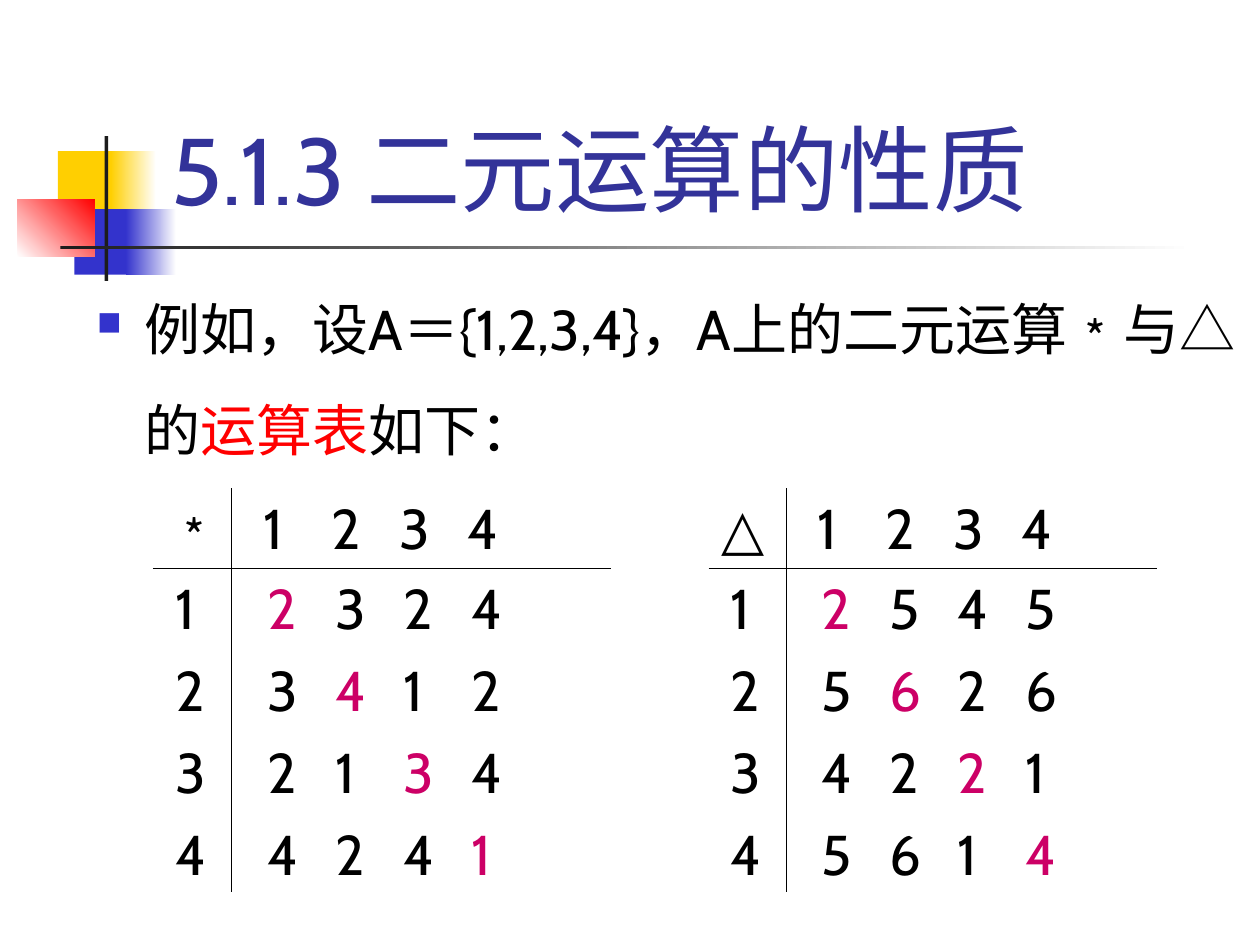
from lxml.etree import SubElement
from pptx import Presentation
from pptx.dml.color import RGBColor
from pptx.enum.shapes import MSO_SHAPE
from pptx.enum.text import MSO_ANCHOR, MSO_AUTO_SIZE, PP_ALIGN
from pptx.oxml import parse_xml
from pptx.oxml.ns import nsdecls, qn
from pptx.util import Inches, Pt

FONT = "Cabin"
BLACK, WHITE, RED, PINK = "000000", "FFFFFF", "FF0000", "CC0066"
YELLOW, BLUE, NAVY, CHARCOAL = "FFCF01", "3333CC", "333399", "1C1C1C"

TITLE = "5.1.3 二元运算的性质"
BODY = [
    ("例如，设A＝{1,2,3,4}，A上的二元运算﹡与△的", BLACK),
    ("运算表", RED),
    ("如下：", BLACK),
]
ELEMENTS = "1234"

# left, top, width, height, colours (two make a gradient), gradient angle
ORNAMENTS = [
    (0.46, 1.20, 0.48, 0.52, [YELLOW], 0),
    (0.88, 1.20, 0.36, 0.52, [YELLOW, WHITE], 0),
    (0.59, 1.66, 0.46, 0.52, [BLUE], 0),
    (1.00, 1.66, 0.40, 0.52, [BLUE, WHITE], 0),
    (0.14, 1.58, 0.61, 0.46, [WHITE, RED], 45),
    (0.83, 1.08, 0.03, 1.15, [CHARCOAL], 0),
    (0.48, 1.95, 9.00, 0.03, [CHARCOAL, WHITE], 0),
]

# operator, left, column widths, rows of results
OPERATION_TABLES = [
    ("﹡", 1.22, (0.62, 3.00), ["2324", "3412", "2134", "4241"]),
    ("△", 5.63, (0.61, 2.94), ["2545", "5626", "4221", "5614"]),
]
TABLE_TOP, ROW_HEIGHTS = 3.88, (0.63, 2.57)
DIGIT_STEP = 0.54


def color(value):
    return RGBColor.from_string(value)


def style(font, size, value):
    font.name, font.size, font.color.rgb = FONT, Pt(size), color(value)


def add_ornament(slide, left, top, width, height, colors, angle):
    shape = slide.shapes.add_shape(
        MSO_SHAPE.RECTANGLE, *map(Inches, (left, top, width, height)))
    shape.shadow.inherit = False
    shape.line.fill.background()
    if len(colors) == 1:
        shape.fill.solid()
        shape.fill.fore_color.rgb = color(colors[0])
        return
    shape.fill.gradient()
    shape.fill.gradient_angle = angle
    for stop, value in zip(shape.fill.gradient_stops, colors):
        stop.color.rgb = color(value)


def add_title(slide):
    title = slide.shapes.title
    title.left, title.top, title.width, title.height = map(
        Inches, (1.26, 0.23, 8.52, 1.6))
    frame = title.text_frame
    frame.text = TITLE
    frame.auto_size = MSO_AUTO_SIZE.NONE
    frame.vertical_anchor = MSO_ANCHOR.BOTTOM
    frame.paragraphs[0].alignment = PP_ALIGN.LEFT
    style(frame.paragraphs[0].font, 54, NAVY)


def add_body(slide):
    frame = slide.shapes.add_textbox(
        *map(Inches, (0.67, 2.02, 9.33, 5.48))).text_frame
    frame.word_wrap = True
    paragraph = frame.paragraphs[0]
    paragraph.line_spacing = 1.5
    properties = paragraph._p.get_or_add_pPr()
    properties.set("marL", str(Inches(0.38)))
    properties.set("indent", str(Inches(-0.38)))
    bullet_color = SubElement(properties, qn("a:buClr"))
    SubElement(bullet_color, qn("a:srgbClr"), val=BLUE)
    SubElement(properties, qn("a:buSzPct"), val="60000")
    SubElement(properties, qn("a:buChar"), char="■")
    style(paragraph.font, 32, BLACK)
    for text, value in BODY:
        run = paragraph.add_run()
        run.text = text
        style(run.font, 32, value)


def add_borders(cell, sides):
    """Draw thin black lines; sides must follow the order L, R, T, B."""
    properties = cell._tc.get_or_add_tcPr()
    for index, side in enumerate(sides):
        properties.insert(index, parse_xml(
            f'<a:ln{side} {nsdecls("a")} w="{Pt(0.45)}"><a:solidFill>'
            f'<a:srgbClr val="{BLACK}"/></a:solidFill></a:ln{side}>'))


def fill_cell(cell, lines, margin, sides, diagonal=False):
    """Write one paragraph per line, with its symbols on equal tab stops."""
    cell.fill.background()
    cell.margin_left = Inches(margin)
    add_borders(cell, sides)
    for row, line in enumerate(lines):
        frame = cell.text_frame
        paragraph = frame.add_paragraph() if row else frame.paragraphs[0]
        if row:
            paragraph.space_before = Pt(8)
        if len(line) > 1:
            tabs = SubElement(paragraph._p.get_or_add_pPr(), qn("a:tabLst"))
            for column in range(1, len(line)):
                SubElement(tabs, qn("a:tab"), algn="l",
                           pos=str(Inches(column * DIGIT_STEP)))
        style(paragraph.font, 32, BLACK)
        for column, symbol in enumerate(line):
            run = paragraph.add_run()
            run.text = "\t" * (column > 0) + symbol
            style(run.font, 32, PINK if diagonal and row == column else BLACK)


def add_operation_table(slide, operator, left, widths, results):
    table = slide.shapes.add_table(
        2, 2, Inches(left), Inches(TABLE_TOP),
        Inches(sum(widths)), Inches(sum(ROW_HEIGHTS))).table
    table.first_row = table.horz_banding = False
    for column, width in zip(table.columns, widths):
        column.width = Inches(width)
    for row, height in zip(table.rows, ROW_HEIGHTS):
        row.height = Inches(height)
    fill_cell(table.cell(0, 0), [operator], 0.1, "RB")
    fill_cell(table.cell(0, 1), [ELEMENTS], 0.25, "LB")
    fill_cell(table.cell(1, 0), ELEMENTS, 0.17, "RT")
    fill_cell(table.cell(1, 1), results, 0.28, "LT", diagonal=True)


def main():
    presentation = Presentation()
    presentation.slide_width, presentation.slide_height = Inches(10), Inches(7.5)
    slide = presentation.slides.add_slide(presentation.slide_layouts[5])
    for ornament in ORNAMENTS:
        add_ornament(slide, *ornament)
    add_title(slide)
    add_body(slide)
    for operation in OPERATION_TABLES:
        add_operation_table(slide, *operation)
    presentation.save("out.pptx")


if __name__ == "__main__":
    main()
